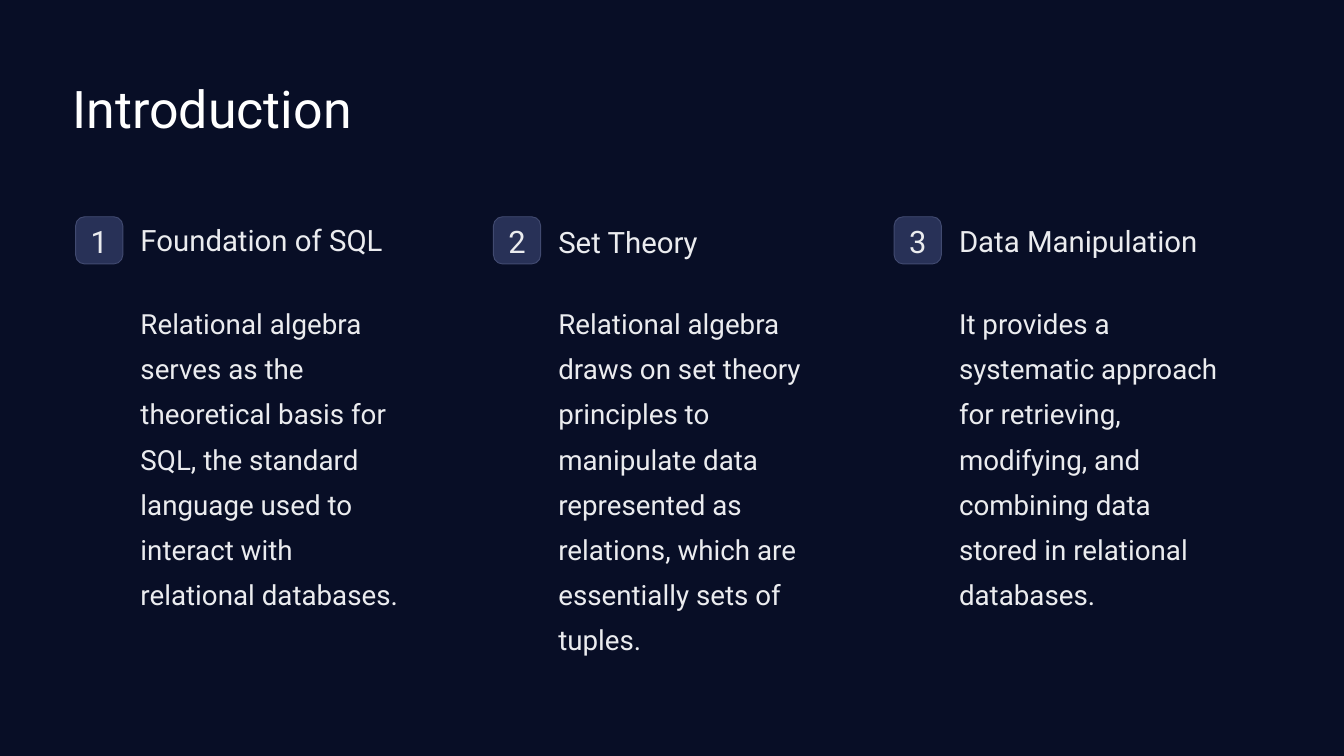
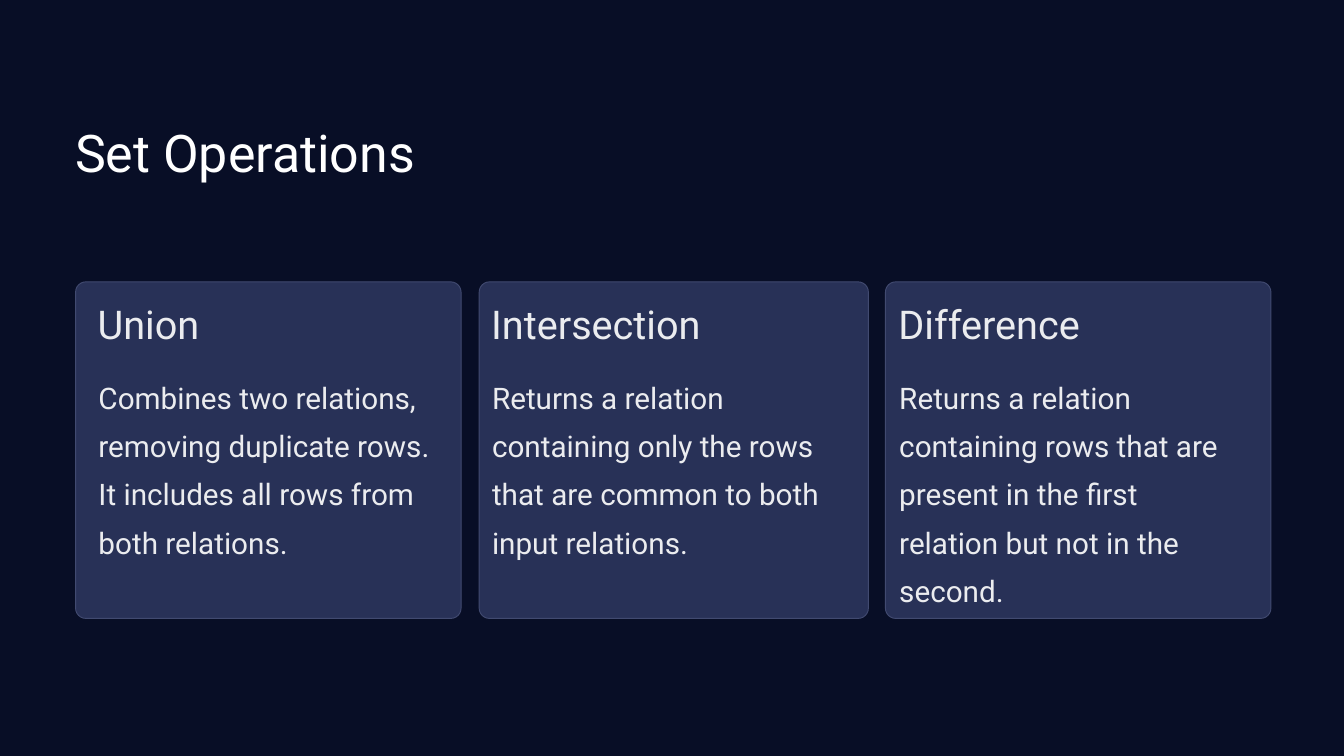
"""Build two slides on relational algebra: an introduction and its set operations."""

from typing import NamedTuple

from pptx import Presentation
from pptx.dml.color import RGBColor
from pptx.enum.shapes import MSO_SHAPE
from pptx.enum.text import MSO_ANCHOR, MSO_AUTO_SIZE, PP_ALIGN
from pptx.presentation import Presentation as PresentationType
from pptx.shapes.autoshape import Shape
from pptx.slide import Slide
from pptx.util import Pt

FONT = "Roboto"
NIGHT = RGBColor(0x08, 0x0E, 0x26)
PANEL = RGBColor(0x28, 0x31, 0x57)
PANEL_EDGE = RGBColor(0x41, 0x4A, 0x70)
WHITE = RGBColor(0xFF, 0xFF, 0xFF)
PALE = RGBColor(0xEB, 0xEC, 0xEF)


class Box(NamedTuple):
    left: float
    top: float
    width: float
    height: float


class TextStyle(NamedTuple):
    size: float
    line_spacing: float
    color: RGBColor = PALE
    alignment: PP_ALIGN = PP_ALIGN.LEFT


class Topic(NamedTuple):
    left: float
    heading_top: float
    body_height: float
    heading: str
    body: str


class Card(NamedTuple):
    left: float
    width: float
    heading_left: float
    body_width: float
    heading: str
    body: str


TITLE = TextStyle(55.6, 69.4, WHITE)
BADGE_NUMBER = TextStyle(33.1, 33.1, alignment=PP_ALIGN.CENTER)
TOPIC_HEADING = TextStyle(31.5, 39.4)
TOPIC_BODY = TextStyle(29.7, 48.4)
CARD_HEADING = TextStyle(42.5, 53.1)
CARD_BODY = TextStyle(31.8, 51.8)

BADGE_TOP = 232.2
BADGE_SIDE = 50.6
TOPIC_INDENT = 69.5
TOPIC_BODY_TOP = 316
COLUMN_WIDTH = 279.4
CARD_TOP = 302
CARD_HEIGHT = 360.6
CARD_HEADING_TOP = 319.7
CARD_BODY_TOP = 393.1

TOPICS = [
    Topic(81, 236.9, 335.5, "Foundation of SQL",
          "Relational algebra serves as the theoretical basis for SQL, the standard "
          "language used to interact with relational databases."),
    Topic(528.7, 239, 382.3, "Set Theory",
          "Relational algebra draws on set theory principles to manipulate data "
          "represented as relations, which are essentially sets of tuples."),
    Topic(958, 237.6, 335.5, "Data Manipulation",
          "It provides a systematic approach for retrieving, modifying, and combining "
          "data stored in relational databases."),
]

CARDS = [
    Card(81, 413, 104.6, 363.6, "Union",
         "Combines two relations, removing duplicate rows. It includes all rows "
         "from both relations."),
    Card(513.4, 417, 526.3, 362.2, "Intersection",
         "Returns a relation containing only the rows that are common to both "
         "input relations."),
    Card(948.7, 413, 962.6, 367.2, "Difference",
         "Returns a relation containing rows that are present in the first relation "
         "but not in the second."),
]


def in_points(box: Box) -> list[Pt]:
    return [Pt(length) for length in box]


def write(shape: Shape, text: str, style: TextStyle, inset_top: float = 0) -> None:
    frame = shape.text_frame
    frame.word_wrap = True
    frame.auto_size = MSO_AUTO_SIZE.NONE
    frame.margin_left = frame.margin_right = frame.margin_bottom = 0
    frame.margin_top = Pt(inset_top)
    paragraph = frame.paragraphs[0]
    paragraph.alignment = style.alignment
    paragraph.line_spacing = Pt(style.line_spacing)
    run = paragraph.add_run()
    run.text = text
    run.font.name = FONT
    run.font.size = Pt(style.size)
    run.font.color.rgb = style.color


def add_text(slide: Slide, box: Box, text: str, style: TextStyle) -> None:
    write(slide.shapes.add_textbox(*in_points(box)), text, style)


def add_panel(slide: Slide, box: Box, radius: float) -> Shape:
    panel = slide.shapes.add_shape(MSO_SHAPE.ROUNDED_RECTANGLE, *in_points(box))
    panel.adjustments[0] = radius / min(box.width, box.height)
    panel.shadow.inherit = False
    panel.fill.solid()
    panel.fill.fore_color.rgb = PANEL
    panel.line.color.rgb = PANEL_EDGE
    panel.line.width = Pt(1)
    return panel


def add_titled_slide(presentation: PresentationType, title: str, box: Box) -> Slide:
    slide = presentation.slides.add_slide(presentation.slide_layouts[5])
    shape = slide.shapes.title
    shape.left, shape.top, shape.width, shape.height = in_points(box)
    shape.text_frame.vertical_anchor = MSO_ANCHOR.TOP
    write(shape, title, TITLE)
    return slide


def add_topic(slide: Slide, number: int, topic: Topic) -> None:
    badge = add_panel(slide, Box(topic.left, BADGE_TOP, BADGE_SIDE, BADGE_SIDE), 9.7)
    badge.text_frame.vertical_anchor = MSO_ANCHOR.MIDDLE
    write(badge, str(number), BADGE_NUMBER, inset_top=9.4)
    left = topic.left + TOPIC_INDENT
    add_text(slide, Box(left, topic.heading_top, COLUMN_WIDTH, 38.9),
             topic.heading, TOPIC_HEADING)
    add_text(slide, Box(left, TOPIC_BODY_TOP, COLUMN_WIDTH, topic.body_height),
             topic.body, TOPIC_BODY)


def add_card(slide: Slide, card: Card) -> None:
    add_panel(slide, Box(card.left, CARD_TOP, card.width, CARD_HEIGHT), 11)
    add_text(slide, Box(card.heading_left, CARD_HEADING_TOP, COLUMN_WIDTH, 52.6),
             card.heading, CARD_HEADING)
    add_text(slide, Box(card.heading_left + 0.9, CARD_BODY_TOP, card.body_width, 204),
             card.body, CARD_BODY)


def main() -> None:
    presentation = Presentation()
    presentation.slide_width = Pt(1440)
    presentation.slide_height = Pt(810)
    background = presentation.slide_master.background.fill
    background.solid()
    background.fore_color.rgb = NIGHT

    introduction = add_titled_slide(presentation, "Introduction",
                                    Box(77.8, 79.2, 913.7, 67.7))
    for number, topic in enumerate(TOPICS, start=1):
        add_topic(introduction, number, topic)

    operations = add_titled_slide(presentation, "Set Operations",
                                  Box(80.6, 126.7, 1283.8, 67.7))
    for card in CARDS:
        add_card(operations, card)

    presentation.save("out.pptx")


if __name__ == "__main__":
    main()
